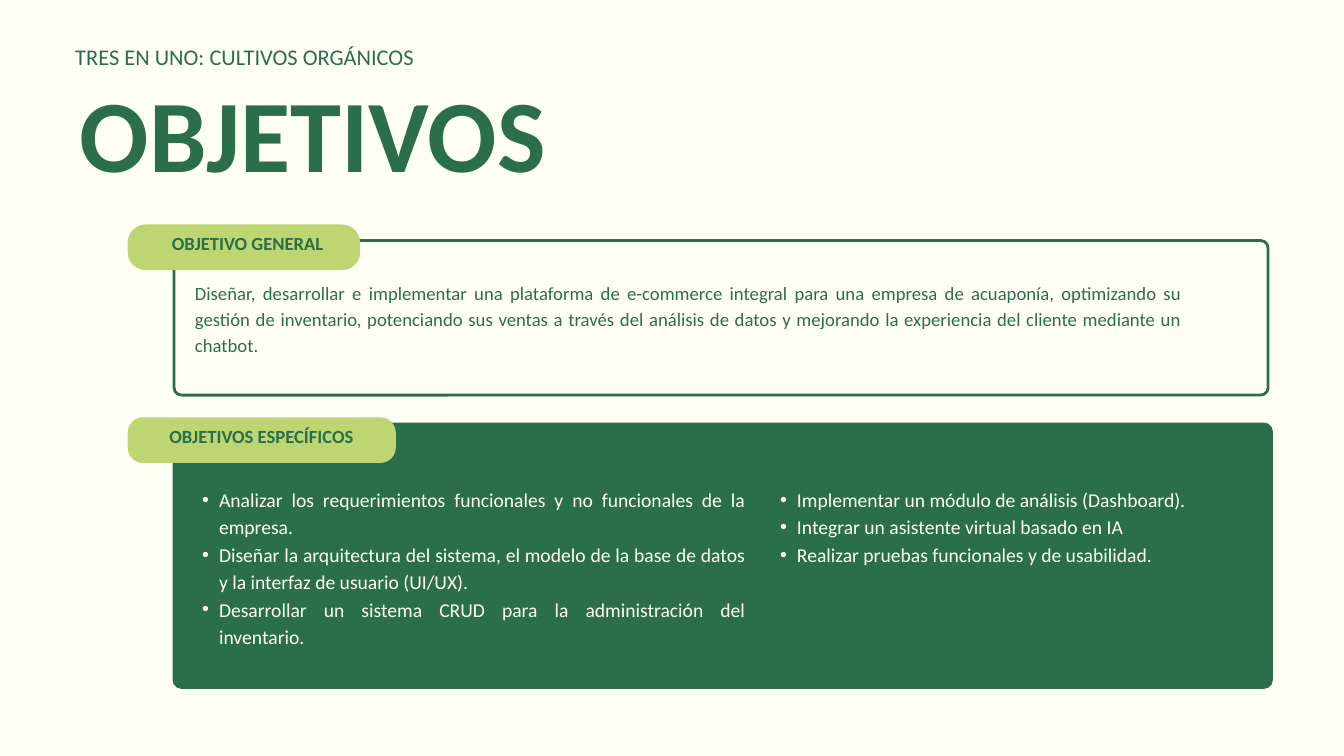
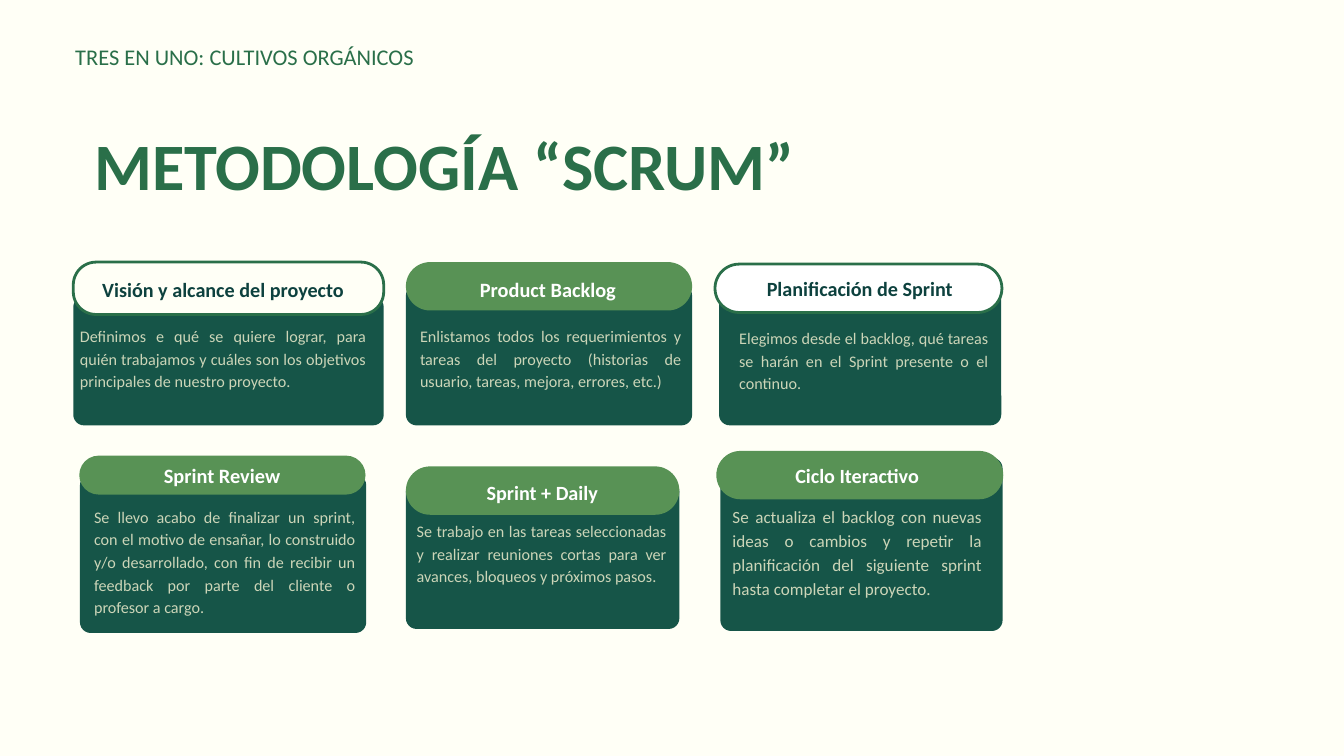
from dataclasses import dataclass

from lxml import etree
from pptx import Presentation
from pptx.dml.color import RGBColor
from pptx.enum.shapes import MSO_SHAPE
from pptx.enum.text import MSO_AUTO_SIZE, PP_ALIGN
from pptx.oxml.ns import qn
from pptx.util import Inches, Pt

ROUNDED = MSO_SHAPE.ROUNDED_RECTANGLE
GROW = MSO_AUTO_SIZE.SHAPE_TO_FIT_TEXT
LEFT, CENTER, JUSTIFY = PP_ALIGN.LEFT, PP_ALIGN.CENTER, PP_ALIGN.JUSTIFY

# Grid: 20 columns by 11.25 rows over the whole slide
SLIDE_WIDTH, SLIDE_HEIGHT = Inches(20), Inches(11.25)
COLUMN, ROW = SLIDE_WIDTH / 20, SLIDE_HEIGHT / 11.25


@dataclass(frozen=True)
class TextStyle:
    size: float
    spacing: float
    color: str
    bold: bool = False
    align: int = LEFT


@dataclass(frozen=True)
class Theme:
    font: str = "Calibri"
    cream: str = "FFFFF6"
    white: str = "FFFFFF"
    green: str = "2A6F49"
    lime: str = "BED671"
    leaf: str = "589255"
    pine: str = "165548"
    outline: float = 3
    # Text styles
    header: TextStyle = TextStyle(24, 24, green)
    big_title: TextStyle = TextStyle(110, 110, green, True)
    title: TextStyle = TextStyle(71, 71, green, True)
    tab: TextStyle = TextStyle(19.9, 19.9, green, True, CENTER)
    goal: TextStyle = TextStyle(20, 28, green, False, JUSTIFY)
    bullet: TextStyle = TextStyle(21, 29.4, cream, False, JUSTIFY)
    light_heading: TextStyle = TextStyle(21.6, 30.3, white, True, CENTER)
    wide_heading: TextStyle = TextStyle(21.8, 30.4, white, True, CENTER)
    dark_heading: TextStyle = TextStyle(21.6, 30.3, "0D413E", True, CENTER)
    card: TextStyle = TextStyle(17.3, 24.2, "CCD5B8", False, JUSTIFY)
    large_card: TextStyle = TextStyle(18.3, 25.6, "CCD5B8", False, JUSTIFY)


THEME = Theme()


@dataclass(frozen=True)
class Area:
    """Left and width in columns, top and height in rows."""
    left: float
    top: float
    width: float
    height: float

    def lengths(self) -> tuple[int, int, int, int]:
        return (round(self.left * COLUMN), round(self.top * ROW),
                round(self.width * COLUMN), round(self.height * ROW))


@dataclass(frozen=True)
class Plate:
    area: Area
    radius: float
    fill: str | None = None
    line: str | None = None


@dataclass(frozen=True)
class Label:
    area: Area
    style: TextStyle
    lines: tuple[str, ...]
    bulleted: bool = False


@dataclass(frozen=True)
class Card:
    body: Area
    tab: Plate
    heading: Label
    text: Label


def draw_plate(page, plate: Plate) -> None:
    box = page.shapes.add_shape(ROUNDED, *plate.area.lengths())
    box.shadow.inherit = False
    box.adjustments[0] = plate.radius / min(plate.area.width, plate.area.height)
    if plate.fill:
        box.fill.solid()
        box.fill.fore_color.rgb = RGBColor.from_string(plate.fill)
    else:
        box.fill.background()
    if plate.line:
        box.line.color.rgb = RGBColor.from_string(plate.line)
        box.line.width = Pt(THEME.outline)
    else:
        box.line.fill.background()


def add_bullet(para) -> None:
    para.level = 1
    properties = para._p.get_or_add_pPr()
    properties.set("marL", str(Inches(0.5)))
    properties.set("indent", str(-Inches(0.25)))
    etree.SubElement(properties, qn("a:buFont"), typeface="Arial")
    etree.SubElement(properties, qn("a:buChar"), char="•")


def draw_label(page, label: Label) -> None:
    style = label.style
    frame = page.shapes.add_textbox(*label.area.lengths()).text_frame
    frame_format = {"word_wrap": True, "auto_size": GROW, "margin_left": 0,
                    "margin_top": 0, "margin_right": 0, "margin_bottom": 0}
    for name, value in frame_format.items():
        setattr(frame, name, value)
    font_format = {"name": THEME.font, "size": Pt(style.size), "bold": style.bold}
    for index, line in enumerate(label.lines):
        para = frame.add_paragraph() if index else frame.paragraphs[0]
        if label.bulleted:
            add_bullet(para)
        para.alignment = style.align
        para.line_spacing = Pt(style.spacing)
        span = para.add_run()
        span.text = line
        for name, value in font_format.items():
            setattr(span.font, name, value)
        span.font.color.rgb = RGBColor.from_string(style.color)


def draw_card(page, card: Card) -> None:
    draw_plate(page, Plate(card.body, 0.16, THEME.pine))
    draw_plate(page, card.tab)
    draw_label(page, card.heading)
    draw_label(page, card.text)


def add_page(deck, title: Label):
    """Cream page with the running header and its title."""
    page = deck.slides.add_slide(deck.slide_layouts[6])
    page.background.fill.solid()
    page.background.fill.fore_color.rgb = RGBColor.from_string(THEME.cream)
    draw_label(page, Label(Area(1.12, 0.71, 5.7, 0.41), THEME.header,
                           ("TRES EN UNO: CULTIVOS ORGÁNICOS",)))
    draw_label(page, title)
    return page


# Objectives
OBJECTIVE_PLATES = (
    Plate(Area(2.59, 6.31, 16.33, 3.92), 0.11, THEME.green, THEME.green),
    Plate(Area(2.59, 3.58, 16.28, 2.3), 0.11, None, THEME.green),
    Plate(Area(1.9, 3.34, 3.46, 0.68), 0.27, THEME.lime),
    Plate(Area(1.9, 6.21, 3.99, 0.68), 0.23, THEME.lime),
)
OBJECTIVE_LABELS = (
    Label(Area(2.26, 3.51, 2.85, 0.34), THEME.tab, ("OBJETIVO GENERAL",)),
    Label(Area(2.23, 6.38, 3.32, 0.34), THEME.tab, ("OBJETIVOS ESPECÍFICOS",)),
    Label(Area(2.9, 4.14, 14.68, 1.2), THEME.goal, (
        "Diseñar, desarrollar e implementar una plataforma de e-commerce integral "
        "para una empresa de acuaponía, optimizando su gestión de inventario, "
        "potenciando sus ventas a través del análisis de datos y mejorando la "
        "experiencia del cliente mediante un chatbot.",)),
    Label(Area(2.76, 7.2, 8.33, 2.47), THEME.bullet, (
        "Analizar los requerimientos funcionales y no funcionales de la empresa.",
        "Diseñar la arquitectura del sistema, el modelo de la base de datos y la "
        "interfaz de usuario (UI/UX).",
        "Desarrollar un sistema CRUD para la administración del inventario."), True),
    Label(Area(11.36, 7.2, 7.35, 1.25), THEME.bullet, (
        "Implementar un módulo de análisis (Dashboard).",
        "Integrar un asistente virtual basado en IA",
        "Realizar pruebas funcionales y de usabilidad."), True),
)

# Scrum stages
SCRUM_CARDS = (
    Card(Area(1.09, 4.41, 4.62, 1.92),
         Plate(Area(1.09, 3.9, 4.62, 0.78), 0.34, THEME.cream, THEME.green),
         Label(Area(0.69, 4.06, 5.26, 0.42), THEME.dark_heading,
               ("Visión y alcance del proyecto",)),
         Label(Area(1.19, 4.81, 4.26, 1.34), THEME.card, (
             "Definimos e qué se quiere lograr, para quién trabajamos y cuáles son "
             "los objetivos principales de nuestro proyecto.",))),
    Card(Area(6.04, 4.24, 4.26, 2.09),
         Plate(Area(6.04, 3.9, 4.26, 0.72), 0.36, THEME.leaf),
         Label(Area(6.2, 4.06, 3.91, 0.4), THEME.wide_heading, ("Product Backlog",)),
         Label(Area(6.25, 4.81, 3.89, 1.33), THEME.card, (
             "Enlistamos todos los requerimientos y tareas del proyecto (historias "
             "de usuario, tareas, mejora, errores, etc.)",))),
    Card(Area(10.7, 4.03, 4.2, 2.3),
         Plate(Area(10.64, 3.93, 4.27, 0.72), 0.36, THEME.white, THEME.green),
         Label(Area(10.65, 4.05, 4.29, 0.42), THEME.dark_heading,
               ("Planificación de Sprint",)),
         Label(Area(11, 4.84, 3.71, 1.01), THEME.card, (
             "Elegimos desde el backlog, qué tareas se harán en el Sprint presente "
             "o el continuo.",))),
    Card(Area(1.19, 7.06, 4.26, 2.36),
         Plate(Area(1.18, 6.78, 4.26, 0.58), 0.29, THEME.leaf),
         Label(Area(1.35, 6.84, 3.91, 0.4), THEME.wide_heading, ("Sprint Review",)),
         Label(Area(1.4, 7.5, 3.89, 1.66), THEME.card, (
             "Se llevo acabo de finalizar un sprint, con el motivo de ensañar, lo "
             "construido y/o desarrollado, con fin de recibir un feedback por parte "
             "del cliente o profesor a cargo.",))),
    Card(Area(6.04, 7.16, 4.07, 2.2),
         Plate(Area(6.04, 6.94, 4.07, 0.72), 0.36, THEME.leaf),
         Label(Area(6.59, 7.09, 2.96, 0.42), THEME.light_heading, ("Sprint + Daily",)),
         Label(Area(6.2, 7.71, 3.72, 1.34), THEME.card, (
             "Se trabajo en las tareas seleccionadas y realizar reuniones cortas "
             "para ver avances, bloqueos y próximos pasos.",))),
    Card(Area(10.72, 6.81, 4.2, 2.58),
         Plate(Area(10.66, 6.71, 4.27, 0.72), 0.36, THEME.leaf),
         Label(Area(10.61, 6.83, 4.29, 0.42), THEME.light_heading, ("Ciclo Iteractivo",)),
         Label(Area(10.9, 7.49, 3.71, 1.75), THEME.large_card, (
             "Se actualiza el backlog con nuevas ideas o cambios y repetir la "
             "planificación del siguiente sprint hasta completar el proyecto.",))),
)


def main() -> None:
    deck = Presentation()
    deck.slide_width, deck.slide_height = SLIDE_WIDTH, SLIDE_HEIGHT

    objectives = add_page(deck, Label(Area(1.19, 1.35, 14.16, 1.89),
                                      THEME.big_title, ("OBJETIVOS",)))
    for plate in OBJECTIVE_PLATES:
        draw_plate(objectives, plate)
    for label in OBJECTIVE_LABELS:
        draw_label(objectives, label)

    scrum = add_page(deck, Label(Area(1.4, 2.04, 12.35, 1.23),
                                 THEME.title, ("METODOLOGÍA “SCRUM”",)))
    for card in SCRUM_CARDS:
        draw_card(scrum, card)

    deck.save("out.pptx")


if __name__ == "__main__":
    main()
